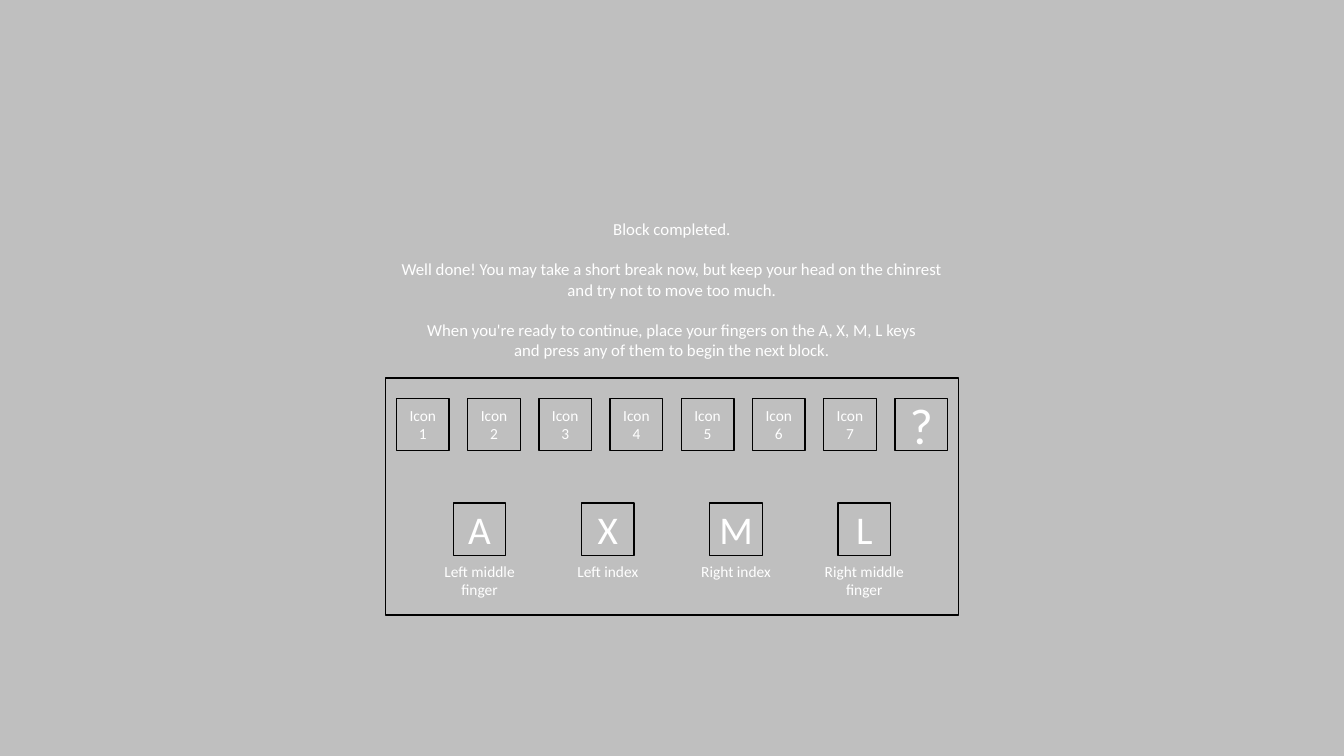
"""Build the end-of-block break screen with its icon row and response keys."""
import pptx
import pptx.dml.color
import pptx.enum.shapes
import pptx.enum.text
import pptx.util

Pt = pptx.util.Pt

MESSAGE = [
    ["Block completed."],
    ["Well done! You may take a short break now, but keep your head on the chinrest",
     "and try not to move too much."],
    ["When you're ready to continue, place your fingers on the A, X, M, L keys",
     "and press any of them to begin the next block."],
]
ICONS = [f"Icon {number}" for number in range(1, 8)]
UNKNOWN = "?"
KEYS = [("A", "Left middle finger"), ("X", "Left index"),
        ("M", "Right index"), ("L", "Right middle finger")]

THEME = {
    "font": "Calibri",
    "background": pptx.dml.color.RGBColor(0xBF, 0xBF, 0xBF),
    "text": pptx.dml.color.RGBColor(0xFF, 0xFF, 0xFF),
    "line": pptx.dml.color.RGBColor(0, 0, 0),
    "message": 12, "label": 11, "key": 28, "unknown": 36,
}

SLIDE_WIDTH, SLIDE_HEIGHT = 960, 540
MESSAGE_BOX = (103.7, 152.6, 752.5, 108.7)
MESSAGE_GAP = 14.6
PANEL = (275.5, 270, 409, 169.2)
SQUARE = 37.5
ICON_LEFT, ICON_TOP, ICON_PITCH = 283.3, 284.5, 50.85
KEY_LEFT, KEY_TOP, KEY_PITCH = 323.8, 359.3, 91.6
CAPTION_TOP, CAPTION_WIDTH, CAPTION_HEIGHT = 397.7, 70.6, 34
CAPTION_INSET = 3


def write(paragraph, text, size):
    paragraph.alignment = pptx.enum.text.PP_ALIGN.CENTER
    run = paragraph.add_run()
    run.text = text
    run.font.name = THEME["font"]
    run.font.size = Pt(size)
    run.font.color.rgb = THEME["text"]


def add_text_box(shapes, box):
    frame = shapes.add_textbox(*map(Pt, box)).text_frame
    frame.word_wrap = True
    return frame


def add_outline(shapes, box):
    shape = shapes.add_shape(pptx.enum.shapes.MSO_SHAPE.RECTANGLE, *map(Pt, box))
    shape.shadow.inherit = False
    shape.fill.background()
    shape.line.color.rgb = THEME["line"]
    shape.line.width = Pt(1)
    return shape


def add_square(shapes, left, top, text, size, wrap):
    frame = add_outline(shapes, (left, top, SQUARE, SQUARE)).text_frame
    frame.vertical_anchor = pptx.enum.text.MSO_ANCHOR.MIDDLE
    frame.word_wrap = wrap
    if not wrap:
        frame.margin_left = frame.margin_right = 0
        frame.margin_top = frame.margin_bottom = 0
    write(frame.paragraphs[0], text, size)


def add_caption(shapes, key_left, caption):
    left = key_left + (SQUARE - CAPTION_WIDTH) / 2
    frame = add_text_box(shapes, (left, CAPTION_TOP, CAPTION_WIDTH, CAPTION_HEIGHT))
    frame.margin_left = frame.margin_right = Pt(CAPTION_INSET)
    write(frame.paragraphs[0], caption, THEME["label"])


def add_message(shapes):
    frame = add_text_box(shapes, MESSAGE_BOX)
    paragraph = frame.paragraphs[0]
    for block_index, block in enumerate(MESSAGE):
        for line_index, line in enumerate(block):
            if block_index or line_index:
                paragraph = frame.add_paragraph()
            if block_index and not line_index:
                paragraph.space_before = Pt(MESSAGE_GAP)
            write(paragraph, line, THEME["message"])


def add_panel(shapes):
    add_outline(shapes, PANEL)
    for index, text in enumerate(ICONS + [UNKNOWN]):
        is_icon = text != UNKNOWN
        size = THEME["label"] if is_icon else THEME["unknown"]
        add_square(shapes, ICON_LEFT + index * ICON_PITCH, ICON_TOP, text, size, is_icon)
    for index, (key, caption) in enumerate(KEYS):
        left = KEY_LEFT + index * KEY_PITCH
        add_square(shapes, left, KEY_TOP, key, THEME["key"], False)
        add_caption(shapes, left, caption)


def main():
    presentation = pptx.Presentation()
    presentation.slide_width = Pt(SLIDE_WIDTH)
    presentation.slide_height = Pt(SLIDE_HEIGHT)
    slide = presentation.slides.add_slide(presentation.slide_layouts[6])
    slide.background.fill.solid()
    slide.background.fill.fore_color.rgb = THEME["background"]
    add_message(slide.shapes)
    add_panel(slide.shapes.add_group_shape().shapes)
    presentation.save("out.pptx")


if __name__ == "__main__":
    main()
